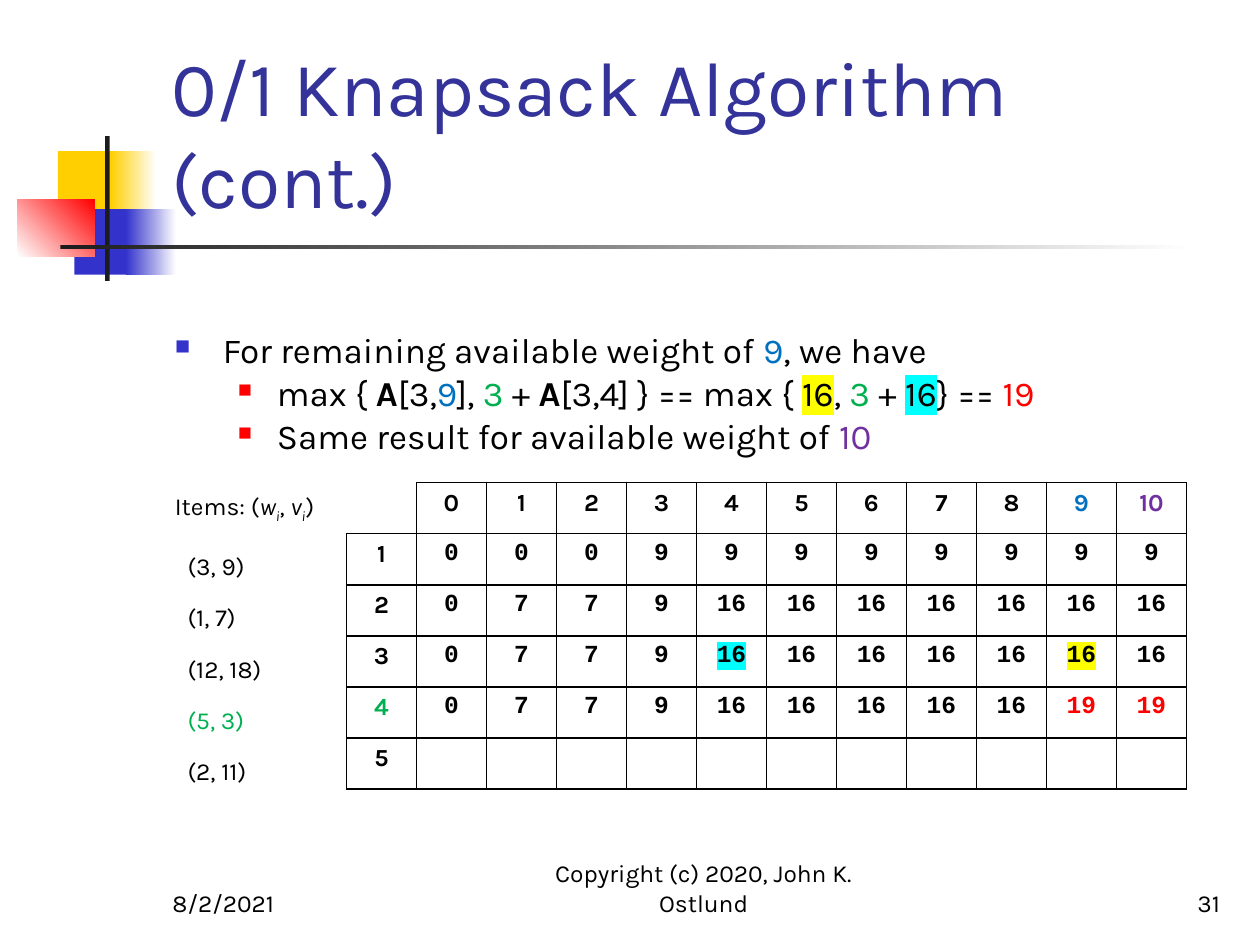
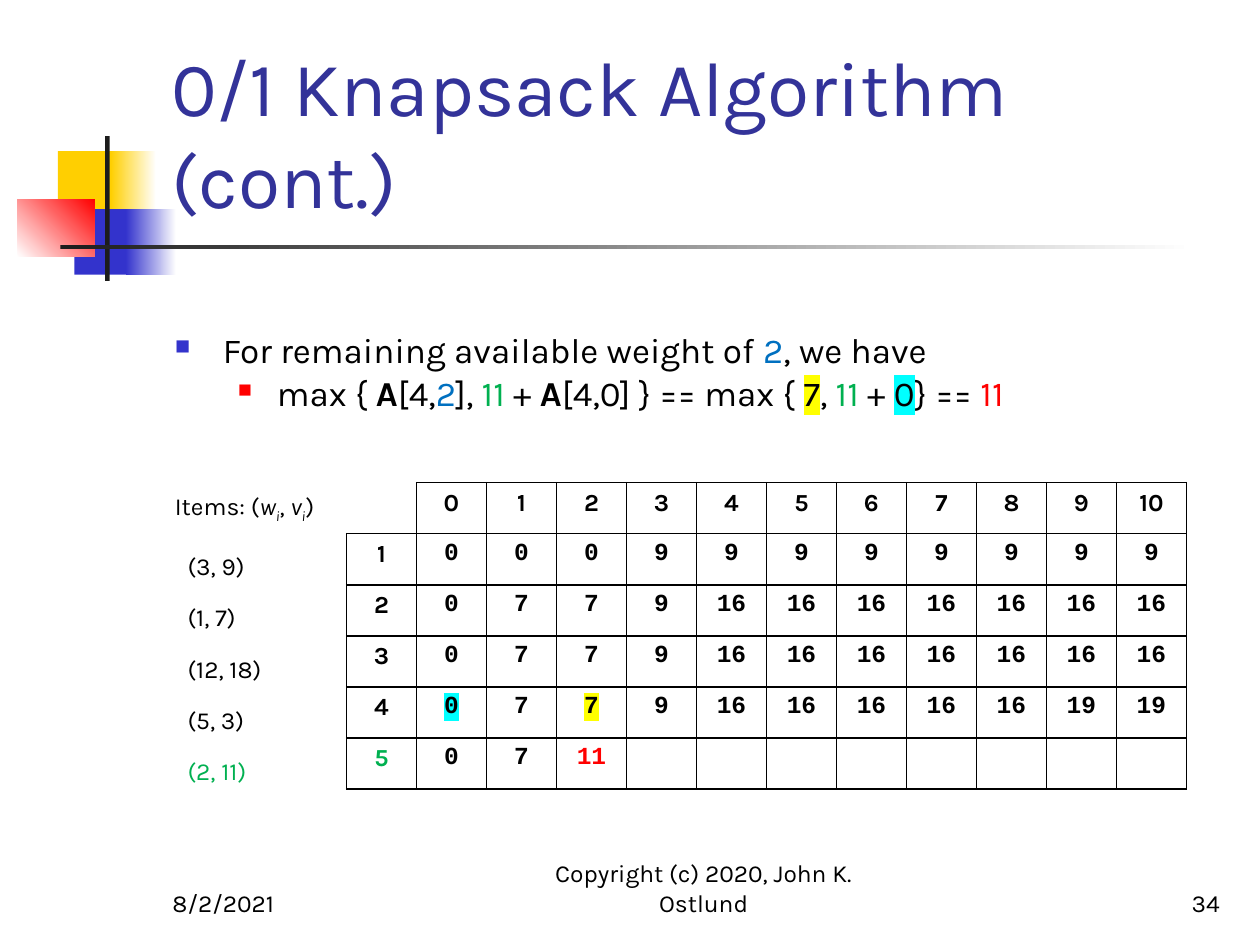
from dataclasses import dataclass
from typing import Optional

from lxml.etree import SubElement
from pptx import Presentation
from pptx.dml.color import RGBColor
from pptx.enum.shapes import MSO_SHAPE
from pptx.enum.text import MSO_ANCHOR, PP_ALIGN
from pptx.oxml.ns import qn
from pptx.util import Inches, Pt

SLIDE_WIDTH, SLIDE_HEIGHT = Inches(10), Inches(7.5)
GRID_COLUMNS, GRID_ROWS = 100, 75
BODY_FONT, VALUE_FONT = "Karla", "Courier New"

BLACK = RGBColor(0x00, 0x00, 0x00)
WHITE = RGBColor(0xFF, 0xFF, 0xFF)
CHARCOAL = RGBColor(0x1C, 0x1C, 0x1C)
GOLD = RGBColor(0xFF, 0xCF, 0x01)
INDIGO = RGBColor(0x33, 0x33, 0xCC)
TITLE_BLUE = RGBColor(0x33, 0x33, 0x99)
RED = RGBColor(0xFF, 0x00, 0x00)
BLUE = RGBColor(0x00, 0x70, 0xC0)
GREEN = RGBColor(0x00, 0xB0, 0x50)
PURPLE = RGBColor(0x70, 0x30, 0xA0)
YELLOW = RGBColor(0xFF, 0xFF, 0x00)
CYAN = RGBColor(0x00, 0xFF, 0xFF)

ITEMS = [(3, 9), (1, 7), (12, 18), (5, 3), (2, 11)]
CAPACITY = 10


@dataclass
class Run:
    text: str
    color: RGBColor = BLACK
    bold: bool = False
    italic: bool = False
    highlight: Optional[RGBColor] = None
    subscript: bool = False


@dataclass
class Step:
    page: int
    item: int
    weight: int
    last_solved: int
    same_weight: Optional[int] = None


STEPS = [
    Step(page=31, item=4, weight=9, last_solved=10, same_weight=10),
    Step(page=34, item=5, weight=2, last_solved=2),
]


def best_values():
    table = [[0] * (CAPACITY + 1)]
    for weight, value in ITEMS:
        previous = table[-1]
        table.append([
            max(best, value + previous[room - weight]) if room >= weight else best
            for room, best in enumerate(previous)
        ])
    return table


def area(left, top, width, height):
    column, row = SLIDE_WIDTH / GRID_COLUMNS, SLIDE_HEIGHT / GRID_ROWS
    return [int(length) for length in (left * column, top * row, width * column, height * row)]


def add_run(paragraph, content, size, font_name=BODY_FONT):
    run = paragraph.add_run()
    run.text = content.text
    font = run.font
    font.size, font.bold, font.italic = Pt(size), content.bold, content.italic
    font.color.rgb = content.color
    properties = run._r.get_or_add_rPr()
    if content.highlight is not None:
        highlight = SubElement(properties, qn("a:highlight"))
        SubElement(highlight, qn("a:srgbClr"), val=str(content.highlight))
    if content.subscript:
        properties.set("baseline", "-25000")
    font.name = font_name


def add_text(slide, place, paragraphs, size, align=PP_ALIGN.LEFT, anchor=MSO_ANCHOR.TOP):
    frame = slide.shapes.add_textbox(*area(*place)).text_frame
    frame.word_wrap = True
    frame.vertical_anchor = anchor
    for index, runs in enumerate(paragraphs):
        paragraph = frame.paragraphs[0] if index == 0 else frame.add_paragraph()
        paragraph.alignment = align
        for content in runs:
            add_run(paragraph, content, size)
    return frame


def add_block(slide, place, start, end=None, angle=0):
    block = slide.shapes.add_shape(MSO_SHAPE.RECTANGLE, *area(*place))
    block.shadow.inherit = False
    block.line.fill.background()
    if end is None:
        block.fill.solid()
        block.fill.fore_color.rgb = start
        return
    block.fill.gradient()
    block.fill.gradient_angle = angle
    for stop, color, position in zip(block.fill.gradient_stops, (start, end), (0, 1)):
        stop.color.rgb = color
        stop.position = position


def add_decoration(slide):
    add_block(slide, (4.6, 12, 4.8, 5.2), GOLD)
    add_block(slide, (8.8, 12, 3.6, 5.2), GOLD, WHITE)
    add_block(slide, (5.9, 16.6, 4.6, 5.2), INDIGO)
    add_block(slide, (10, 16.6, 4, 5.2), INDIGO, WHITE)
    add_block(slide, (1.4, 15.8, 6.1, 4.6), WHITE, RED, angle=45)
    add_block(slide, (8.35, 10.8, 0.35, 11.5), CHARCOAL)
    add_block(slide, (4.8, 19.45, 90, 0.35), CHARCOAL, WHITE)


def add_frame(slide, page):
    add_decoration(slide)
    add_text(slide, (12.6, 2.3, 85.2, 16), [[Run("0/1 Knapsack Algorithm (cont.)", TITLE_BLUE)]],
             44, anchor=MSO_ANCHOR.BOTTOM)
    footers = [
        (12.7, 20.8, "8/2/2021", PP_ALIGN.LEFT),
        (40, 31.7, "Copyright (c) 2020, John K. Ostlund", PP_ALIGN.CENTER),
        (77, 20.8, str(page), PP_ALIGN.RIGHT),
    ]
    for left, width, text, align in footers:
        add_text(slide, (left, 68.3, width, 5), [[Run(text)]], 14, align, MSO_ANCHOR.BOTTOM)


def set_bullet(paragraph, margin, hanging, color, percent):
    properties = paragraph._p.get_or_add_pPr()
    properties.set("marL", str(Inches(margin)))
    properties.set("indent", str(-Inches(hanging)))
    bullet_color = SubElement(properties, qn("a:buClr"))
    SubElement(bullet_color, qn("a:srgbClr"), val=str(color))
    SubElement(properties, qn("a:buSzPct"), val=str(percent * 1000))
    SubElement(properties, qn("a:buChar"), char="■")


def add_explanation(slide, step, values):
    item_weight, item_value = ITEMS[step.item - 1]
    row, rest = step.item - 1, step.weight - item_weight
    weight, value = Run(str(step.weight), BLUE), Run(str(item_value), GREEN)
    array = Run("A", bold=True)
    lines = [
        [Run("For remaining available weight of "), weight, Run(", we have")],
        [Run("max { "), array, Run(f"[{row},"), weight, Run("], "), value, Run(" + "), array,
         Run(f"[{row},{rest}] }} == max {{ "),
         Run(str(values[row][step.weight]), highlight=YELLOW), Run(", "), value, Run(" + "),
         Run(str(values[row][rest]), highlight=CYAN), Run("} == "),
         Run(str(values[step.item][step.weight]), RED)],
    ]
    if step.same_weight is not None:
        lines.append([Run("Same result for available weight of "),
                      Run(str(step.same_weight), PURPLE)])
    frame = add_text(slide, (12.9, 25.6, 85, 11), lines, 20)
    for index, paragraph in enumerate(frame.paragraphs):
        if index == 0:
            set_bullet(paragraph, 0.38, 0.38, INDIGO, 60)
        else:
            paragraph.space_before = Pt(0.5)
            set_bullet(paragraph, 0.81, 0.31, RED, 55)


def add_items(slide, step):
    heading = [Run("Items: ("), Run("w", italic=True), Run("i", italic=True, subscript=True),
               Run(", "), Run("v", italic=True), Run("i", italic=True, subscript=True), Run(")")]
    pairs = [[Run(f"({weight}, {value})", GREEN if number == step.item else BLACK)]
             for number, (weight, value) in enumerate(ITEMS, 1)]
    frame = add_text(slide, (12.9, 38.5, 14.6, 25), [heading] + pairs, 14)
    for number, paragraph in enumerate(frame.paragraphs[1:], 1):
        paragraph.space_before = Pt(15 if number == 1 else 12.5)
        paragraph._p.get_or_add_pPr().set("marL", str(Inches(0.1)))


def set_borders(cell, hidden=()):
    properties = cell._tc.get_or_add_tcPr()
    for index, side in enumerate(("lnL", "lnR", "lnT", "lnB")):
        line = SubElement(properties, qn(f"a:{side}"), w=str(Pt(1)))
        if side in hidden:
            SubElement(line, qn("a:noFill"))
        else:
            fill = SubElement(line, qn("a:solidFill"))
            SubElement(fill, qn("a:srgbClr"), val=str(BLACK))


def cell_content(step, values, row, room):
    if row == 0:
        colors = {step.weight: BLUE, step.same_weight: PURPLE} if step.same_weight else {}
        return Run(str(room), colors.get(room, BLACK), bold=True)
    if room < 0:
        return Run(str(row), GREEN if row == step.item else BLACK, bold=True)
    content = Run(str(values[row][room]), bold=True)
    rest = step.weight - ITEMS[step.item - 1][0]
    if row == step.item and room in (step.weight, step.same_weight):
        content.color = RED
    if row == step.item - 1:
        content.highlight = {step.weight: YELLOW, rest: CYAN}.get(room)
    return content


def add_value_table(slide, step, values):
    rows, columns = len(ITEMS) + 1, CAPACITY + 2
    table = slide.shapes.add_table(rows, columns, *area(27.5, 38.3, 66.7, 24.35)).table
    table.first_row = table.horz_banding = False
    for row in range(rows):
        for column in range(columns):
            room = column - 1
            cell = table.cell(row, column)
            corner = row == 0 and column == 0
            set_borders(cell, ("lnL", "lnT") if corner else ())
            cell.fill.background()
            unsolved = (row, room) > (step.item, step.last_solved) and column > 0
            if corner or unsolved:
                continue
            paragraph = cell.text_frame.paragraphs[0]
            paragraph.alignment = PP_ALIGN.CENTER
            font_name = VALUE_FONT if row and column else BODY_FONT
            add_run(paragraph, cell_content(step, values, row, room), 14, font_name)


def main():
    presentation = Presentation()
    presentation.slide_width, presentation.slide_height = SLIDE_WIDTH, SLIDE_HEIGHT
    values = best_values()
    for step in STEPS:
        slide = presentation.slides.add_slide(presentation.slide_layouts[6])
        add_frame(slide, step.page)
        add_explanation(slide, step, values)
        add_items(slide, step)
        add_value_table(slide, step, values)
    presentation.save("out.pptx")


if __name__ == "__main__":
    main()
